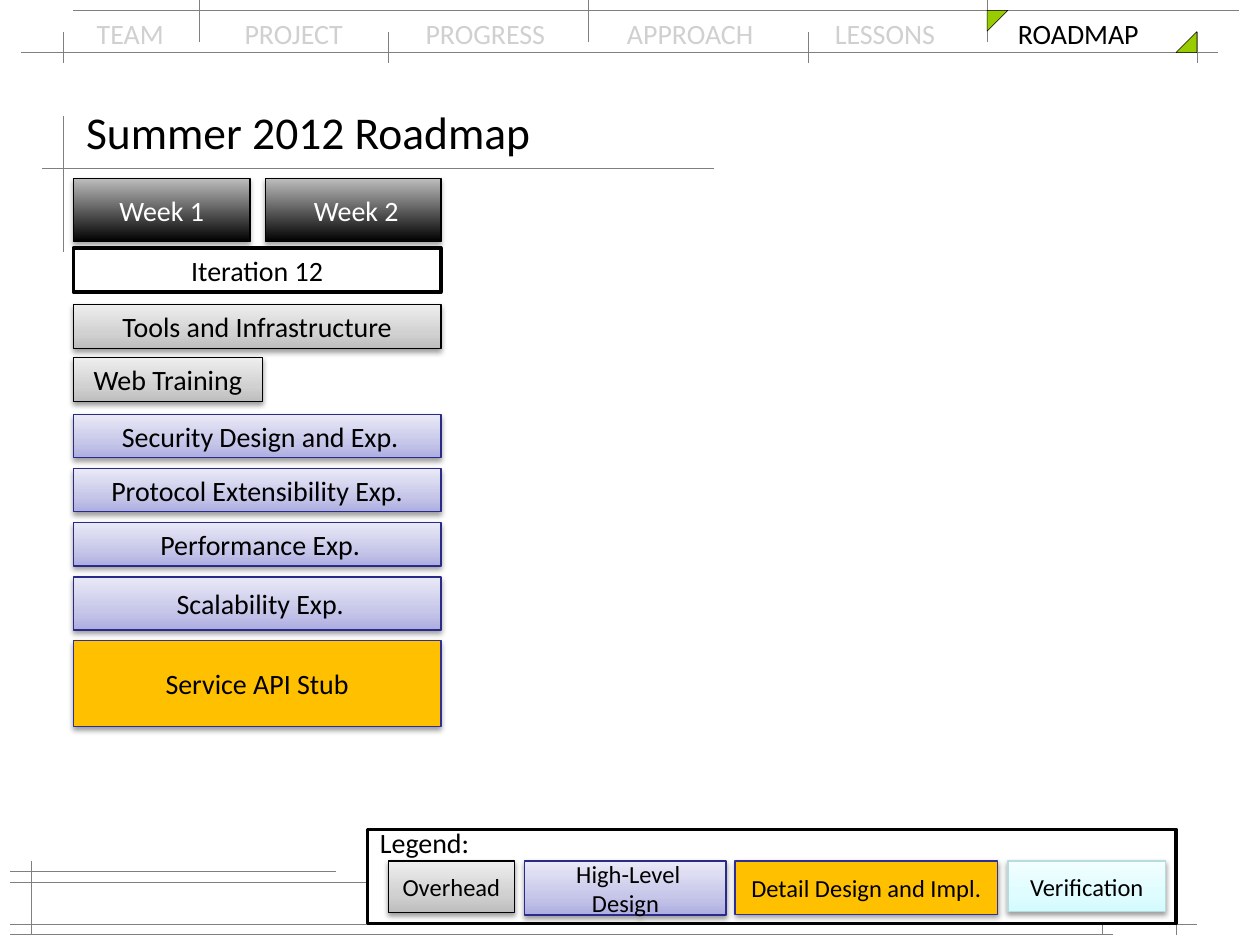
"""Build the Summer 2012 roadmap slide with its navigation bar and legend."""
from pptx import Presentation
from pptx.dml.color import RGBColor as RGB
from pptx.enum.shapes import MSO_CONNECTOR as CONNECTOR, MSO_SHAPE as SHAPE
from pptx.enum.text import MSO_ANCHOR as ANCHOR, MSO_AUTO_SIZE as AUTO, PP_ALIGN as ALIGN
from pptx.oxml import parse_xml
from pptx.oxml.ns import nsdecls
from pptx.util import Cm, Pt

COLORS = {
    "black": "000000", "white": "FFFFFF", "guide": "808080", "muted": "D0D0D0",
    "green": "99CC00", "amber": "FFC000", "navy": "2A2A89", "indigo": "2F2F98",
    "ice": "B6DCDF",
}
GRADIENTS = {
    "week": [(0, "000000"), (100, "BDBDBD")],
    "overhead": [(0, "BDBDBD"), (35, "D1D1D1"), (100, "EEEEEE")],
    "design": [(0, "ADADE1"), (35, "C6C6E9"), (100, "E9E9F7")],
    "verify": [(0, "D3FBFF"), (35, "DFFCFF"), (100, "F2FEFF")],
}
STYLES = {
    "week": ("black", "white"), "overhead": ("black", "black"),
    "design": ("navy", "black"), "detail": ("indigo", "black"),
    "verify": ("ice", "black"), "frame": ("black", "black"),
}


def write(paragraph, text, size, color):
    run = paragraph.add_run()
    run.text = text
    run.font.name = "Calibri"
    run.font.size = Pt(size)
    run.font.color.rgb = RGB.from_string(COLORS[color])


def add_box(style, text, left, top, width, height, size=16):
    outline, ink = STYLES[style]
    box = slide.shapes.add_shape(SHAPE.RECTANGLE, Cm(left), Cm(top), Cm(width), Cm(height))
    box.line.color.rgb = RGB.from_string(COLORS[outline])
    box.line.width = Pt(2 if style == "frame" else 0.75)
    box.shadow.inherit = False
    if style in GRADIENTS:
        stops = "".join(
            f'<a:gs pos="{spot * 1000}"><a:srgbClr val="{tone}"/></a:gs>'
            for spot, tone in GRADIENTS[style])
        box._element.spPr.find("{*}prstGeom").addnext(parse_xml(
            f'<a:gradFill {nsdecls("a")} rotWithShape="1"><a:gsLst>{stops}</a:gsLst>'
            '<a:lin ang="16200000" scaled="0"/></a:gradFill>'))
    else:
        box.fill.solid()
        box.fill.fore_color.rgb = RGB.from_string(COLORS["amber" if style == "detail" else "white"])
    if style != "frame":
        alpha = 35000 if style == "week" else 38000
        box._element.spPr.find("{*}effectLst").append(parse_xml(
            f'<a:outerShdw {nsdecls("a")} blurRad="{Pt(3.1)}" dist="{Pt(1.6)}" dir="5400000" '
            f'rotWithShape="0"><a:srgbClr val="000000"><a:alpha val="{alpha}"/></a:srgbClr>'
            '</a:outerShdw>'))
    if text:
        box.text_frame.word_wrap = True
        box.text_frame.vertical_anchor = ANCHOR.MIDDLE
        label = box.text_frame.paragraphs[0]
        label.alignment = ALIGN.CENTER
        write(label, text, size, ink)


deck = Presentation()
deck.slide_width, deck.slide_height = Cm(25.4), Cm(19.05)
slide = deck.slides.add_slide(deck.slide_layouts[5])

title = slide.shapes.title
title.left, title.top, title.width, title.height = Cm(1.48), Cm(1.9), Cm(22.44), Cm(1.48)
title.text_frame.auto_size = AUTO.NONE
title.text_frame.vertical_anchor = ANCHOR.MIDDLE
heading = title.text_frame.paragraphs[0]
heading.alignment = ALIGN.LEFT
write(heading, "Summer 2012 Roadmap", 26, "black")

nav = slide.shapes.add_textbox(Cm(1.7), Cm(0.21), Cm(22.02), Cm(0.94))
nav.text_frame.word_wrap = True
sections = nav.text_frame.paragraphs[0]
write(sections, "TEAM\tPROJECT\tPROGRESS\tAPPROACH\tLESSONS\t", 16, "muted")
write(sections, "ROADMAP", 16, "black")
tabs = "".join(f'<a:tab pos="{Cm(stop)}" algn="l"/>' for stop in (2.98, 6.63, 10.69, 14.88, 18.57))
sections._p.get_or_add_pPr().append(parse_xml(f'<a:tabLst {nsdecls("a")}>{tabs}</a:tabLst>'))

rows = [(0.42, 24.55, 1.06), (1.48, 24.98, 0.21), (0.85, 14.39, 3.39), (0.21, 7.83, 17.78),
        (0.21, 24.13, 18.63), (0.21, 6.77, 17.57), (0.21, 22.44, 18.84)]
columns = [(1.27, 2.33, 5.08), (0.64, 17.36, 18.84), (23.71, 17.36, 18.84), (22.23, 17.99, 18.84)]
columns += [(x, 0.64, 1.27) for x in (1.27, 7.83, 16.3, 24.13)]
columns += [(x, 0, 0.85) for x in (4.02, 11.85, 19.9)]
guides = [(start, y, end, y) for start, end, y in rows]
guides += [(x, start, x, end) for x, start, end in columns]
for ends in guides:
    guide = slide.shapes.add_connector(CONNECTOR.STRAIGHT, *map(Cm, ends))
    guide.line.color.rgb = RGB.from_string(COLORS["guide"])
    guide.line.width = Pt(0.3)
    guide._element.spPr.append(parse_xml(f'<a:effectLst {nsdecls("a")}/>'))

for left, top, flip in [(19.9, 0.21, "flipV"), (23.71, 0.64, "flipH")]:
    corner = slide.shapes.add_shape(SHAPE.RIGHT_TRIANGLE, Cm(left), Cm(top), Cm(0.42), Cm(0.42))
    corner.shadow.inherit = False
    corner.fill.solid()
    corner.fill.fore_color.rgb = RGB.from_string(COLORS["green"])
    corner.line.color.rgb = RGB.from_string(COLORS["black"])
    corner.line.width = Pt(0.3)
    corner._element.spPr.xfrm.set(flip, "1")

add_box("week", "Week 1", 1.48, 3.6, 3.56, 1.27)
add_box("week", " Week 2", 5.35, 3.6, 3.54, 1.27)
for style, task, top, width, height in [
    ("frame", "Iteration 12", 5, 7.41, 0.89),
    ("overhead", "Tools and Infrastructure", 6.14, 7.41, 0.89),
    ("overhead", "Web Training", 7.21, 3.81, 0.89),
    ("design", " Security Design and Exp.", 8.36, 7.41, 0.87),
    ("design", "Protocol Extensibility Exp.", 9.45, 7.41, 0.87),
    ("design", " Performance Exp.", 10.54, 7.41, 0.87),
    ("design", " Scalability Exp.", 11.63, 7.41, 1.07),
    ("detail", "Service API Stub", 12.91, 7.41, 1.74),
]:
    add_box(style, task, 1.48, top, width, height)

add_box("frame", "", 7.41, 16.72, 16.3, 1.9)
for style, phase, left, width, height in [
    ("overhead", "Overhead", 7.83, 2.54, 1.04),
    ("design", " High-Level Design", 10.58, 4.06, 1.09),
    ("detail", "Detail Design and Impl.", 14.82, 5.29, 1.07),
    ("verify", "Verification", 20.32, 3.18, 1.02),
]:
    add_box(style, phase, left, 17.36, width, height, 14)

legend = slide.shapes.add_textbox(Cm(7.41), Cm(16.51), Cm(2.34), Cm(0.94))
legend.text_frame.word_wrap = False
write(legend.text_frame.paragraphs[0], "Legend:", 16, "black")

deck.save("out.pptx")
